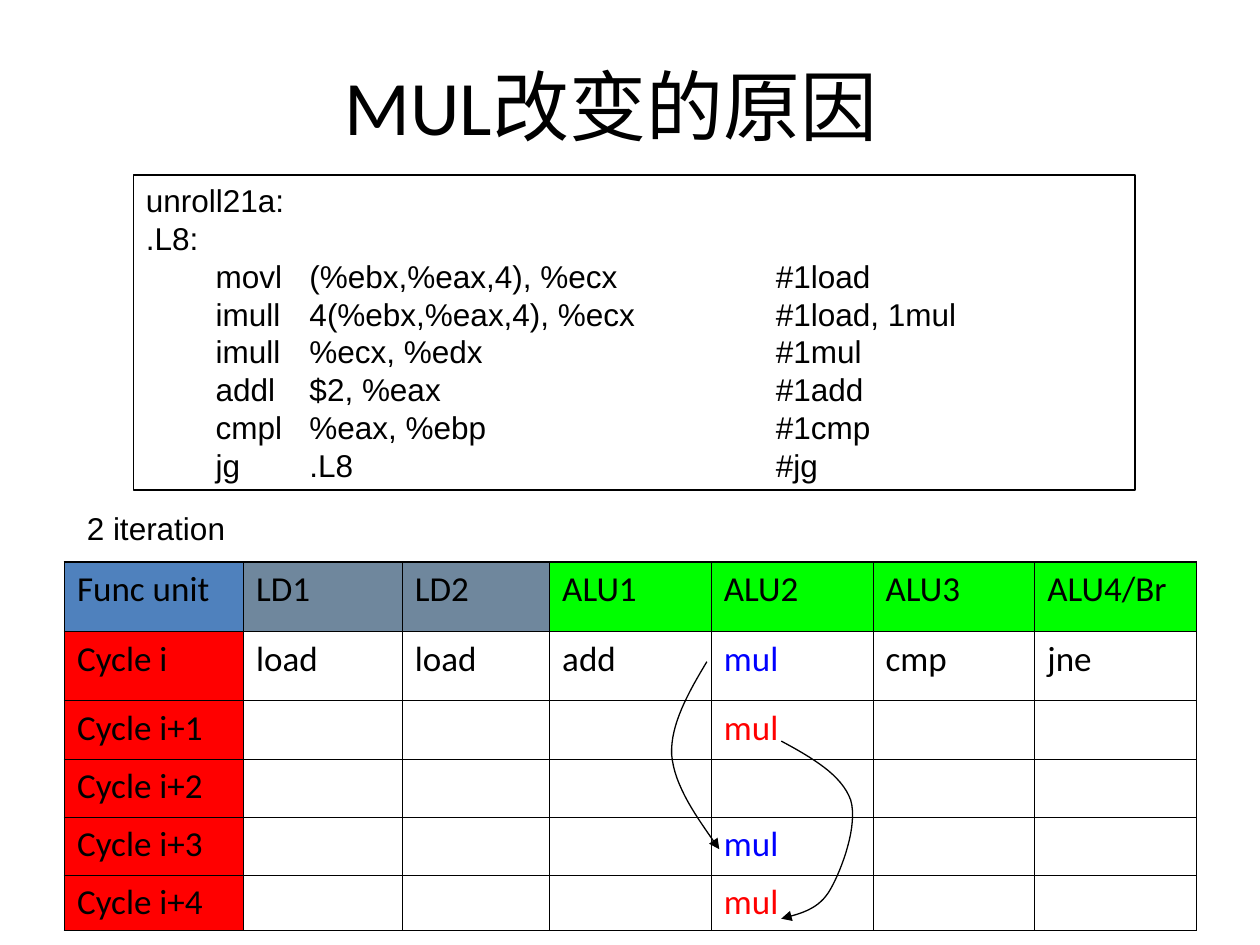
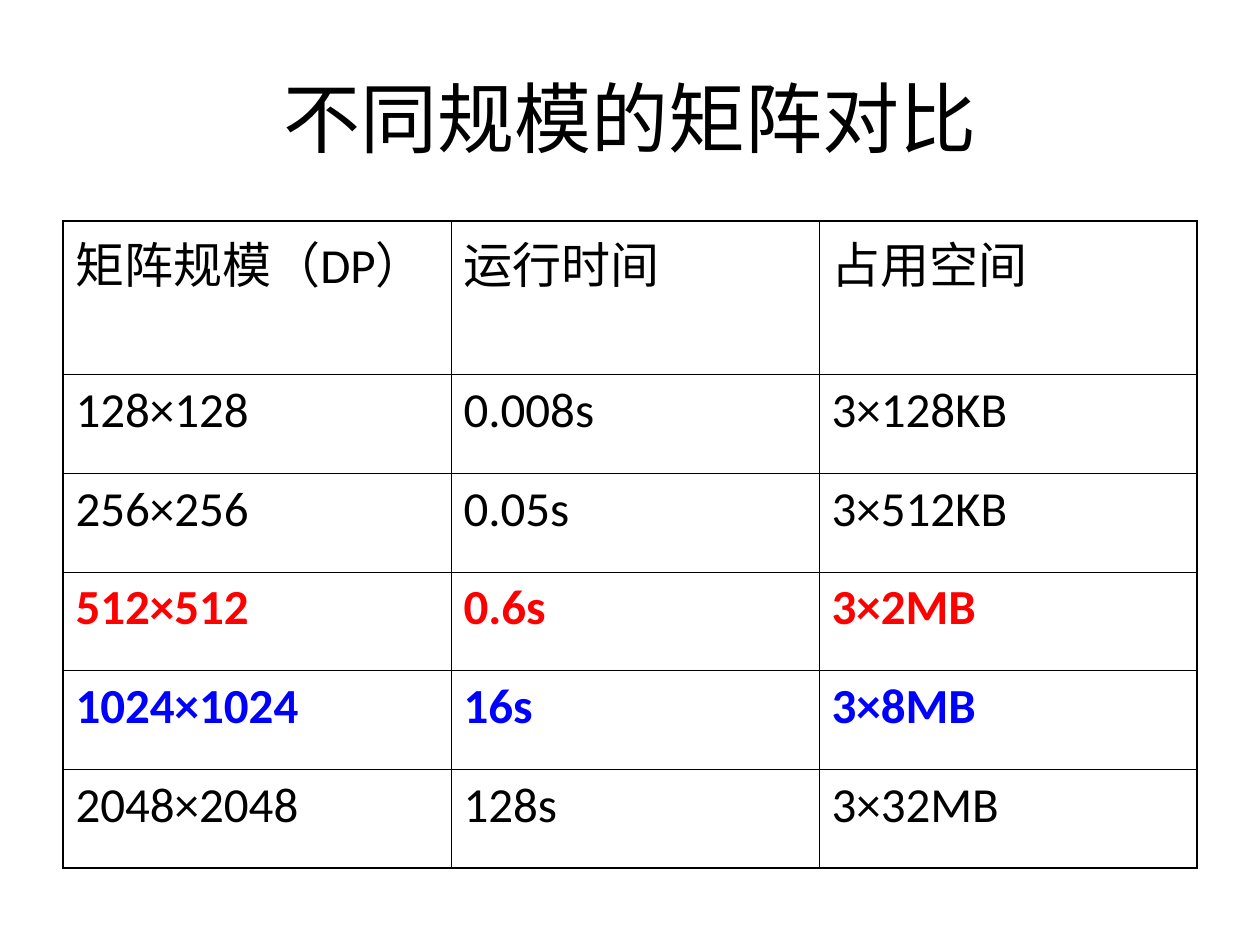
"""Build two slides on multiplication scheduling and matrix sizes."""
from dataclasses import dataclass, field

import pptx
import pptx.dml.color
import pptx.enum.shapes
import pptx.enum.text
import pptx.oxml
import pptx.oxml.ns
import pptx.util
from pptx.util import Cm

COLORS = {
    "ink": "000000",
    "corner": "4F81BD",
    "load_unit": "6F879D",
    "alu": "00FF00",
    "red": "FF0000",
    "blue": "0000FF",
}
HEADING_FONT = "Calibri"
CODE_FONT = "Arial"
OUTER_BORDER = 1.08
INNER_BORDER = 0.45
CURVE_STEPS = 16
OPERAND_TAB = 3.3
REMARK_TAB = 12.7

Point = tuple[float, float]


@dataclass
class Label:
    left: float
    top: float
    width: float
    height: float
    lines: list[str]
    size: float = 18
    font: str = CODE_FONT
    centered: bool = False
    boxed: bool = False
    tabs: list[float] = field(default_factory=list)


@dataclass
class Entry:
    text: str = ""
    color: str = "ink"
    fill: str | None = None
    bold: bool = False


@dataclass
class Grid:
    left: float
    top: float
    columns: list[float]
    rows: list[float]
    size: float
    entries: list[list[Entry]]


@dataclass
class Dependency:
    start: Point
    segments: list[tuple[Point, Point, Point]]


def title(text: str, left: float, top: float) -> Label:
    return Label(left, top, 22.86, 3.18, [text], 44, HEADING_FONT, centered=True)


def rgb(name: str) -> pptx.dml.color.RGBColor:
    return pptx.dml.color.RGBColor.from_string(COLORS[name])


def style(paragraph, size: float, font: str, color: str = "ink", bold: bool = False) -> None:
    paragraph.font.size = pptx.util.Pt(size)
    paragraph.font.name = font
    paragraph.font.bold = bold
    paragraph.font.color.rgb = rgb(color)


def add_tabs(paragraph, stops: list[float]) -> None:
    tags = "".join(f'<a:tab pos="{Cm(stop)}" algn="l"/>' for stop in stops)
    namespace = pptx.oxml.ns.nsdecls("a")
    tab_list = pptx.oxml.parse_xml(f"<a:tabLst {namespace}>{tags}</a:tabLst>")
    paragraph._p.get_or_add_pPr().append(tab_list)


def outline(shape) -> None:
    shape.shadow.inherit = False
    shape.fill.background()
    shape.line.color.rgb = rgb("ink")
    shape.line.width = pptx.util.Pt(0.75)


def draw_label(slide, label: Label) -> None:
    place = [Cm(v) for v in (label.left, label.top, label.width, label.height)]
    if label.boxed:
        box = slide.shapes.add_shape(pptx.enum.shapes.MSO_SHAPE.RECTANGLE, *place)
        outline(box)
    else:
        box = slide.shapes.add_textbox(*place)
    frame = box.text_frame
    frame.word_wrap = True
    anchors = pptx.enum.text.MSO_ANCHOR
    frame.vertical_anchor = anchors.MIDDLE if label.centered else anchors.TOP
    frame.text = "\n".join(label.lines)
    alignments = pptx.enum.text.PP_ALIGN
    for paragraph in frame.paragraphs:
        paragraph.alignment = alignments.CENTER if label.centered else alignments.LEFT
        if label.tabs:
            add_tabs(paragraph, label.tabs)
        style(paragraph, label.size, label.font)


def add_borders(cell, outer: dict[str, bool]) -> None:
    properties = cell._tc.get_or_add_tcPr()
    namespace = pptx.oxml.ns.nsdecls("a")
    for side, is_outer in outer.items():
        width = pptx.util.Pt(OUTER_BORDER if is_outer else INNER_BORDER)
        properties.append(pptx.oxml.parse_xml(
            f'<a:ln{side} {namespace} w="{width}"><a:solidFill>'
            f'<a:srgbClr val="{COLORS["ink"]}"/></a:solidFill></a:ln{side}>'
        ))


def draw_grid(slide, grid: Grid) -> None:
    last_row, last_column = len(grid.rows) - 1, len(grid.columns) - 1
    table = slide.shapes.add_table(
        len(grid.rows), len(grid.columns), Cm(grid.left), Cm(grid.top),
        Cm(sum(grid.columns)), Cm(sum(grid.rows)),
    ).table
    table.first_row = False
    table.horz_banding = False
    for column, width in zip(table.columns, grid.columns):
        column.width = Cm(width)
    for row, height in zip(table.rows, grid.rows):
        row.height = Cm(height)
    for r, entries in enumerate(grid.entries):
        for c, entry in enumerate(entries):
            cell = table.cell(r, c)
            cell.text = entry.text
            style(cell.text_frame.paragraphs[0], grid.size, HEADING_FONT, entry.color, entry.bold)
            add_borders(cell, {"L": c == 0, "R": c == last_column, "T": r == 0, "B": r == last_row})
            if entry.fill:
                cell.fill.solid()
                cell.fill.fore_color.rgb = rgb(entry.fill)
            else:
                cell.fill.background()


def bezier(points: list[Point], t: float) -> Point:
    while len(points) > 1:
        points = [
            (x0 + (x1 - x0) * t, y0 + (y1 - y0) * t)
            for (x0, y0), (x1, y1) in zip(points, points[1:])
        ]
    return points[0]


def draw_dependency(slide, dependency: Dependency) -> None:
    start = dependency.start
    trail: list[Point] = []
    for segment in dependency.segments:
        trail += [bezier([start, *segment], i / CURVE_STEPS) for i in range(1, CURVE_STEPS + 1)]
        start = segment[-1]
    builder = slide.shapes.build_freeform(*(Cm(v) for v in dependency.start))
    builder.add_line_segments([(Cm(x), Cm(y)) for x, y in trail], close=False)
    arrow = builder.convert_to_shape()
    outline(arrow)
    namespace = pptx.oxml.ns.nsdecls("a")
    arrow.line._get_or_add_ln().append(
        pptx.oxml.parse_xml(f'<a:tailEnd {namespace} type="triangle"/>')
    )


def schedule() -> Grid:
    units = {
        "Func unit": "corner", "LD1": "load_unit", "LD2": "load_unit",
        "ALU1": "alu", "ALU2": "alu", "ALU3": "alu", "ALU4/Br": "alu",
    }
    operations = {
        "Cycle i": ["load", "load", "add", "mul", "cmp", "jne"],
        "Cycle i+1": ["", "", "", "mul", "", ""],
        "Cycle i+2": [""] * 6,
        "Cycle i+3": ["", "", "", "mul", "", ""],
        "Cycle i+4": ["", "", "", "mul", "", ""],
    }
    mul_colors = {"Cycle i": "blue", "Cycle i+1": "red", "Cycle i+3": "blue", "Cycle i+4": "red"}
    entries = [[Entry(unit, fill=fill) for unit, fill in units.items()]]
    for cycle, names in operations.items():
        entries.append([Entry(cycle, fill="red")] + [
            Entry(name, mul_colors[cycle] if name == "mul" else "ink") for name in names
        ])
    columns = [3.61, 3.2, 2.97] + [3.26] * 4
    return Grid(1.3, 11.33, columns, [1.4, 1.4, 1.17, 1.17, 1.17, 1.12], 20, entries)


def matrix_sizes() -> Grid:
    measurements = [
        ("矩阵规模（DP）", "运行时间", "占用空间"),
        ("128×128", "0.008s", "3×128KB"),
        ("256×256", "0.05s", "3×512KB"),
        ("512×512", "0.6s", "3×2MB"),
        ("1024×1024", "16s", "3×8MB"),
        ("2048×2048", "128s", "3×32MB"),
    ]
    highlights = {"512×512": "red", "1024×1024": "blue"}
    entries = [
        [Entry(text, highlights.get(row[0], "ink"), bold=row[0] in highlights) for text in row]
        for row in measurements
    ]
    return Grid(1.27, 4.45, [7.82, 7.42, 7.62], [3.1] + [1.99] * 5, 28, entries)


def main() -> None:
    deck = pptx.Presentation()
    deck.slide_width, deck.slide_height = Cm(25.4), Cm(19.05)
    blank = deck.slide_layouts[6]

    instructions = [
        ("movl", "(%ebx,%eax,4), %ecx", "#1load"),
        ("imull", "4(%ebx,%eax,4), %ecx", "#1load, 1mul"),
        ("imull", "%ecx, %edx", "#1mul"),
        ("addl", "$2, %eax", "#1add"),
        ("cmpl", "%eax, %ebp", "#1cmp"),
        ("jg", ".L8", "#jg"),
    ]
    code = ["unroll21a:", ".L8:"] + ["        " + "\t".join(parts) for parts in instructions]
    blue_chain = Dependency((14.25, 13.34), [
        ((13.89, 13.94), (13.51, 14.61), (13.54, 15.21)),
        ((13.59, 15.85), (14.05, 16.48), (14.5, 17.12)),
    ])
    red_chain = Dependency((15.75, 14.94), [
        ((16.36, 15.27), (16.97, 15.62), (17.15, 16.13)),
        ((17.3, 16.64), (16.97, 17.53), (16.74, 17.93)),
        ((16.51, 18.34), (16.13, 18.42), (15.75, 18.52)),
    ])

    mul_slide = deck.slides.add_slide(blank)
    draw_label(mul_slide, title("MUL改变的原因", 0.89, 0.53))
    draw_grid(mul_slide, schedule())
    draw_label(mul_slide, Label(2.69, 3.53, 20.19, 6.35, code, boxed=True,
                                tabs=[OPERAND_TAB, REMARK_TAB]))
    draw_label(mul_slide, Label(1.5, 10.13, 3.99, 1.02, ["2 iteration"]))
    for chain in (blue_chain, red_chain):
        draw_dependency(mul_slide, chain)

    matrix_slide = deck.slides.add_slide(blank)
    draw_label(matrix_slide, title("不同规模的矩阵对比", 1.27, 0.76))
    draw_grid(matrix_slide, matrix_sizes())

    deck.save("out.pptx")


if __name__ == "__main__":
    main()
